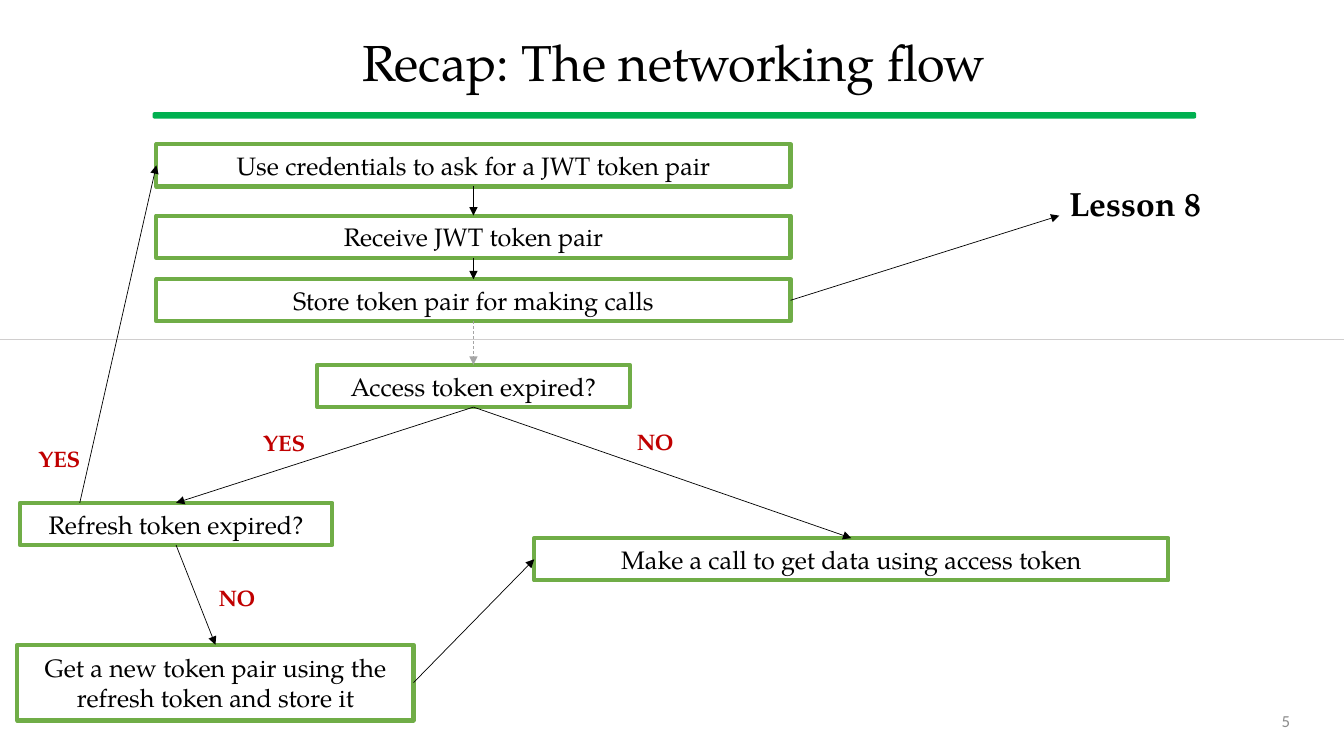
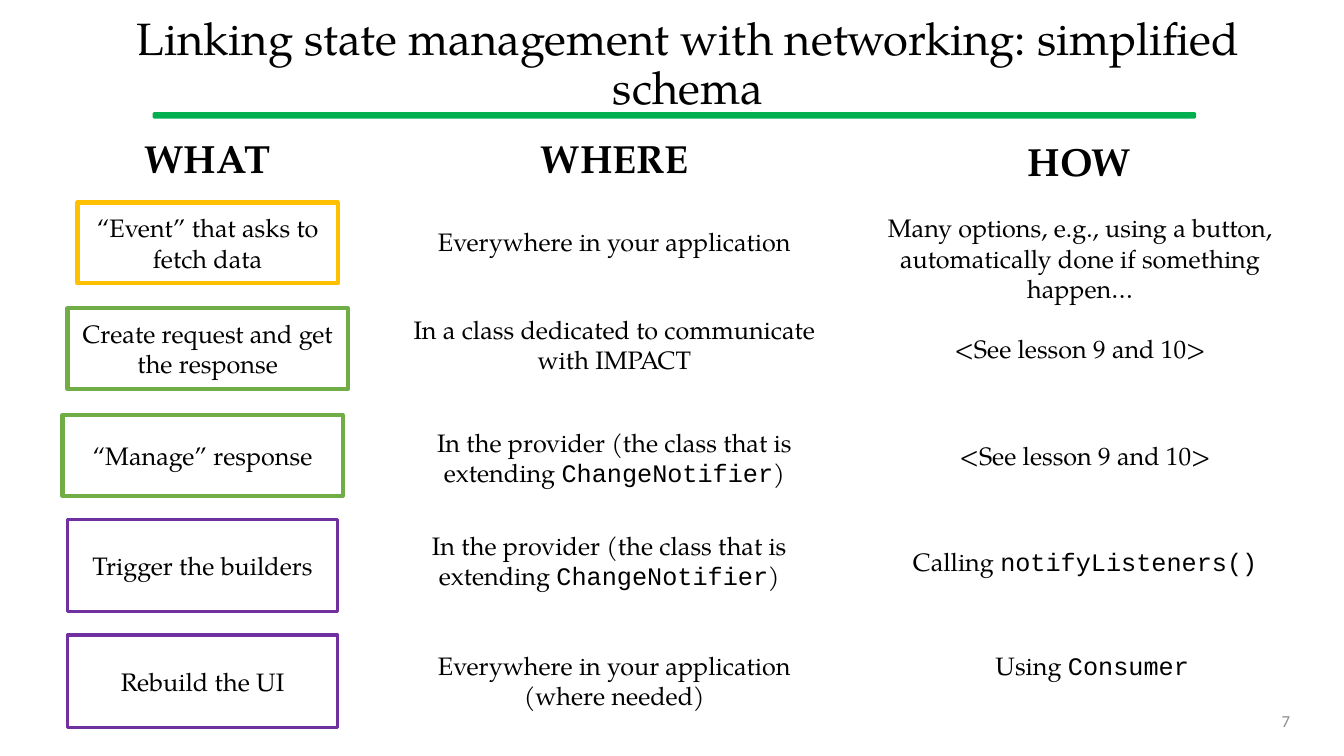
from dataclasses import dataclass

from lxml import etree
from pptx import Presentation
from pptx.dml import color as dml
from pptx.enum import dml as dash, shapes, text
from pptx.oxml import ns
from pptx.util import Pt


@dataclass(frozen=True)
class Theme:
    """Colours, fonts and type sizes shared by the slides."""
    ink: str = "000000"
    paper: str = "FFFFFF"
    rule: str = "00B050"
    green: str = "70AD47"
    amber: str = "FFC000"
    purple: str = "7030A0"
    answer: str = "C00000"
    number: str = "8C8C8C"
    faded: str = "A5A5A5"
    divider: str = "D0CECE"
    serif: str = "TeX Gyre Pagella"
    mono: str = "Courier New"
    sans: str = "Calibri"
    title: float = 36
    long_title: float = 32.4
    heading: float = 28
    lesson: float = 24
    body: float = 18
    label: float = 16
    small: float = 12


THEME = Theme()
ALIGN = text.PP_ALIGN
ANCHOR = text.MSO_ANCHOR
TOP, LEFT, BOTTOM, RIGHT = range(4)  # connection sites of a rectangle


@dataclass(frozen=True)
class Box:
    """A rectangle in points."""
    left: float
    top: float
    width: float
    height: float

    def inner(self, left, top, width, height):
        return Box(self.left + left, self.top + top, width, height)

    def centred(self, centre, top, width, height):
        return self.inner(centre - width / 2, top, width, height)

    def lengths(self):
        return [Pt(v) for v in (self.left, self.top, self.width, self.height)]


PAGE = Box(0, 0, 960, 540)
BODY = Box(0, 90, 960, 450)


def rgb(value):
    return dml.RGBColor.from_string(value)


def write(frame, words, size=THEME.body, colour=THEME.ink, font=THEME.serif,
          bold=False, align=ALIGN.CENTER, anchor=ANCHOR.TOP, spacing=None):
    """Fill a text frame; words between backticks are set as code."""
    frame.word_wrap = True
    frame.auto_size = text.MSO_AUTO_SIZE.NONE
    frame.vertical_anchor = anchor
    paragraph = frame.paragraphs[0]
    paragraph.alignment = align
    paragraph.line_spacing = spacing
    for index, part in enumerate(words.split("`")):
        if not part:
            continue
        run = paragraph.add_run()
        run.text = part
        run.font.name = THEME.mono if index % 2 else font
        run.font.size = Pt(size)
        run.font.bold = bold
        run.font.color.rgb = rgb(colour)


def add_text(slide, box, words, **style):
    holder = slide.shapes.add_textbox(*box.lengths())
    write(holder.text_frame, words, **style)
    return holder


def add_panel(slide, box, fill, outline, weight, kind=shapes.MSO_SHAPE.RECTANGLE):
    panel = slide.shapes.add_shape(kind, *box.lengths())
    panel.shadow.inherit = False
    panel.fill.solid()
    panel.fill.fore_color.rgb = rgb(fill)
    panel.line.color.rgb = rgb(outline)
    panel.line.width = Pt(weight)
    return panel


def add_step(slide, box, words, outline=THEME.green, weight=3):
    step = add_panel(slide, box, THEME.paper, outline, weight)
    write(step.text_frame, words, anchor=ANCHOR.MIDDLE)
    return step


def add_line(slide, start, end, colour=THEME.ink, arrow=True, dashed=False):
    """Draw a line between ends given as (x, y) points or (shape, site)."""
    line = slide.shapes.add_connector(shapes.MSO_CONNECTOR.STRAIGHT, 0, 0, 0, 0)
    if isinstance(start[0], (int, float)):
        line.begin_x, line.begin_y = Pt(start[0]), Pt(start[1])
    else:
        line.begin_connect(*start)
    if isinstance(end[0], (int, float)):
        line.end_x, line.end_y = Pt(end[0]), Pt(end[1])
    else:
        line.end_connect(*end)
    line.line.color.rgb = rgb(colour)
    line.line.width = Pt(0.5)
    if dashed:
        line.line.dash_style = dash.MSO_LINE.DASH
    properties = line.element.spPr
    if arrow:
        stroke = properties.find(ns.qn("a:ln"))
        etree.SubElement(stroke, ns.qn("a:tailEnd"), type="triangle")
    etree.SubElement(properties, ns.qn("a:effectLst"))


def add_titled_slide(deck, title, number, size=THEME.title, width=895):
    """Start a slide with its title, green rule and number."""
    slide = deck.slides.add_slide(deck.slide_layouts[5])
    rule = add_panel(slide, PAGE.inner(109.5, 80.6, 744.5, 3.6), THEME.rule,
                     THEME.rule, 1, shapes.MSO_SHAPE.ROUNDED_RECTANGLE)
    rule.adjustments[0] = 0.26

    heading = slide.shapes.title
    place = PAGE.inner(34, 13, width, 67.6)
    heading.left, heading.top, heading.width, heading.height = place.lengths()
    write(heading.text_frame, title, size=size, anchor=ANCHOR.MIDDLE, spacing=0.9)

    add_text(slide, PAGE.inner(678, 500.4, 250.6, 28.8), str(number),
             size=THEME.small, colour=THEME.number, font=THEME.sans,
             align=ALIGN.RIGHT, anchor=ANCHOR.MIDDLE)
    return slide


def draw_token_flow(slide, box):
    wide, narrow, row = 453, 223.2, 30.2
    axis = 338.2

    # Login steps
    ask, receive, store = [
        add_step(slide, box.centred(axis, top, wide, row), words)
        for top, words in (
            (13, "Use credentials to ask for a JWT token pair"),
            (64, "Receive JWT token pair"),
            (109.4, "Store token pair for making calls"))]
    lesson = add_text(slide, box.inner(756.7, 40.3, 131.8, 47.5), "Lesson 8",
                      size=THEME.lesson, bold=True, align=ALIGN.LEFT, spacing=0.9)

    # Divider between login and calls
    middle = box.top + 152.6
    add_line(slide, (box.left, middle), (box.left + box.width, middle),
             colour=THEME.divider, arrow=False)

    # Token checks and calls
    access = add_step(slide, box.centred(axis, 170.6, narrow, row),
                      "Access token expired?")
    call = add_step(slide, box.inner(381.6, 294.4, wide, row),
                    "Make a call to get data using access token")
    refresh = add_step(slide, box.inner(14.2, 269.2, narrow, row),
                       "Refresh token expired?")
    renew = add_step(slide, box.inner(12.4, 370.6, 283, 54),
                     "Get a new token pair using the refresh token and store it")

    # Arrows
    for start, end in (
            ((ask, BOTTOM), (receive, TOP)),
            ((receive, BOTTOM), (store, TOP)),
            ((store, RIGHT), (lesson, LEFT)),
            ((access, BOTTOM), (call, TOP)),
            ((access, BOTTOM), (refresh, TOP)),
            ((refresh, BOTTOM), (renew, TOP)),
            ((renew, RIGHT), (call, LEFT)),
            ((box.left + 57, box.top + 269.2), (ask, LEFT))):
        add_line(slide, start, end)
    add_line(slide, (store, BOTTOM), (access, TOP), colour=THEME.faded, dashed=True)

    # Answers
    for left, top, answer in ((172.8, 215.2, "YES"), (437.8, 214.6, "NO"),
                              (12.2, 226.8, "YES"), (139, 326.2, "NO")):
        add_text(slide, box.inner(left, top, 60.5, 28.8), answer,
                 size=THEME.label, colour=THEME.answer, bold=True, spacing=0.9)


def draw_schema(slide, box):
    # Column headings
    for centre, top, heading in ((148.3, 2.2, "WHAT"), (439.2, 2.2, "WHERE"),
                                 (771.1, 4.3, "HOW")):
        add_text(slide, box.centred(centre, top, 132.5, 41), heading,
                 size=THEME.heading, bold=True)

    # What: centre, top, width, height, outline, weight
    for centre, top, width, height, outline, weight, words in (
            (148.3, 54.7, 185.8, 57.6, THEME.amber, 3,
             "“Event” that asks to fetch data"),
            (148.3, 130.3, 200.2, 57.6, THEME.green, 3,
             "Create request and get the response"),
            (144.7, 206.6, 200.2, 57.6, THEME.green, 3, "“Manage” response"),
            (144.7, 280.8, 193, 66.2, THEME.purple, 2.25, "Trigger the builders"),
            (144.7, 363.6, 193, 66.2, THEME.purple, 2.25, "Rebuild the UI")):
        add_step(slide, box.centred(centre, top, width, height), words,
                 outline, weight)

    # Where, then how: centre, top, number of lines
    provider = "In the provider (the class that is extending `ChangeNotifier`)"
    lesson = "<See lesson 9 and 10>"
    for centre, top, lines, words in (
            (438.8, 68.4, 1, "Everywhere in your application"),
            (438.8, 131, 2, "In a class dedicated to communicate with IMPACT"),
            (438.8, 211.7, 2, provider),
            (435.2, 285.1, 2, provider),
            (438.8, 370.8, 2, "Everywhere in your application (where needed)"),
            (771.5, 58.3, 3, "Many options, e.g., using a button, "
                             "automatically done if something happen…"),
            (771.5, 144.7, 1, lesson),
            (775.1, 221, 1, lesson),
            (775.1, 296.6, 1, "Calling `notifyListeners()`"),
            (780.1, 370.8, 1, "Using `Consumer`")):
        add_text(slide, box.centred(centre, top, 324.7, 7.2 + 21.8 * lines), words)


def main():
    deck = Presentation()
    deck.slide_width, deck.slide_height = Pt(PAGE.width), Pt(PAGE.height)
    draw_token_flow(add_titled_slide(deck, "Recap: The networking flow", 5), BODY)
    draw_schema(add_titled_slide(
        deck, "Linking state management with networking: simplified schema", 7,
        size=THEME.long_title, width=915), BODY)
    deck.save("out.pptx")


if __name__ == "__main__":
    main()
